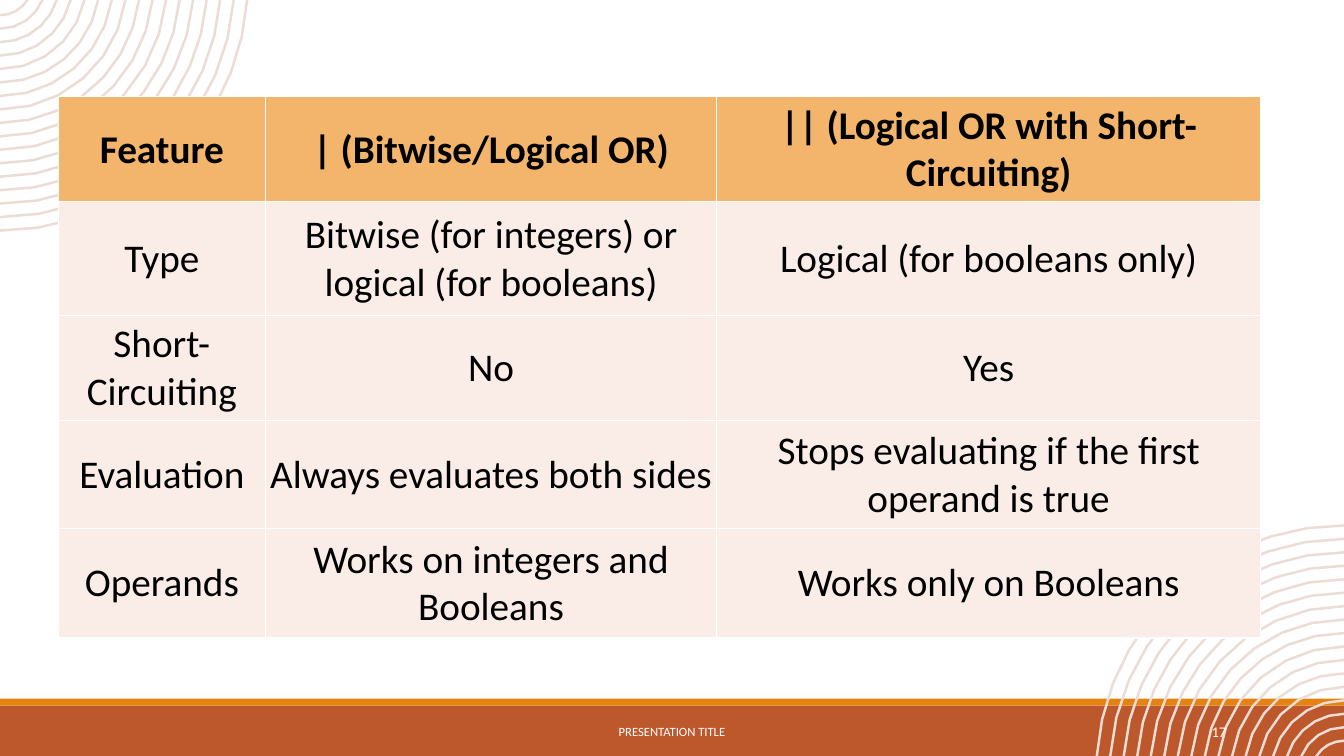
import math
import pptx
import pptx.util
import pptx.dml.color
import pptx.enum.shapes
import pptx.enum.text
import pptx.oxml
import pptx.oxml.ns

WIDE, HIGH = pptx.util.Inches(13.33), pptx.util.Inches(7.5)
HUES = {"bar": "BD582C", "stripe": "E48312", "ring": "EBDCD5", "head": "F3B56C",
        "body": "FAEDE7", "ink": "000000", "light": "FFFFFF"}
ALIGN = pptx.enum.text.PP_ALIGN
MIDDLE = pptx.enum.text.MSO_ANCHOR.MIDDLE

# Table grid, in percent of the slide's width and height
COLS = [15.38, 33.61, 40.44]
ROWS = [13.87, 15.07, 13.87, 14.27, 14.53]
CELLS = [
    ["Feature", "| (Bitwise/Logical OR)", "|| (Logical OR with Short-Circuiting)"],
    ["Type", "Bitwise (for integers) or logical (for booleans)",
     "Logical (for booleans only)"],
    ["Short-Circuiting", "No", "Yes"],
    ["Evaluation", "Always evaluates both sides",
     "Stops evaluating if the first operand is true"],
    ["Operands", "Works on integers and Booleans", "Works only on Booleans"],
]

# Ring pattern, in percent of the slide's height
RINGS, OUTER, STEP, THICK, DROP = 17, 32.93, 1.78, 0.33, 2.27


def across(share):
    return round(WIDE * share / 100)


def down(share):
    return round(HIGH * share / 100)


def place(x, y, w, h):
    return across(x), down(y), across(w), down(h)


def apply(item, **values):
    for name, value in values.items():
        setattr(item, name, value)


def hue(name):
    return pptx.dml.color.RGBColor.from_string(HUES[name])


def paint(fill, name):
    fill.solid()
    fill.fore_color.rgb = hue(name)


def plain(shape, name):
    shape.shadow.inherit = False
    shape.line.fill.background()
    paint(shape.fill, name)


def write(frame, text, size, name, align, bold=False):
    para = frame.paragraphs[0]
    para.alignment = align
    run = para.add_run()
    run.text = text
    apply(run.font, name="Calibri", size=pptx.util.Pt(size), bold=bold)
    run.font.color.rgb = hue(name)


def band(slide, spot, name):
    rect = pptx.enum.shapes.MSO_SHAPE.RECTANGLE
    plain(slide.shapes.add_shape(rect, *place(*spot)), name)


def arc(radius, parts):
    """Points from the slide's top edge to its left edge."""
    start = math.asin(DROP / radius)
    turns = [start + (math.pi / 2 - start) * i / parts for i in range(parts + 1)]
    return [(down(radius * math.cos(t)), down(radius * math.sin(t) - DROP))
            for t in turns]


def rings(slide, flip):
    """Concentric rings at the top left, or turned to the bottom right."""
    build = None
    for i in range(RINGS):
        radius = OUTER - i * STEP
        parts = 3 + round(radius / 5)
        points = arc(radius, parts) + arc(radius - THICK, parts)[::-1]
        if flip:
            points = [(WIDE - x, HIGH - y) for x, y in points]
        if build is None:
            build = slide.shapes.build_freeform(*points[0])
        else:
            build.move_to(*points[0])
        build.add_line_segments(points[1:], close=True)
    plain(build.convert_to_shape(), "ring")


def label(slide, spot, text, size, align):
    frame = slide.shapes.add_textbox(*place(*spot)).text_frame
    apply(frame, word_wrap=True, vertical_anchor=MIDDLE)
    write(frame, text, size, "light", align)


def edge(cell):
    props = cell._tc.get_or_add_tcPr()
    for i, side in enumerate(("lnL", "lnR", "lnT", "lnB")):
        props.insert(i, pptx.oxml.parse_xml(
            f'<a:{side} {pptx.oxml.ns.nsdecls("a")} w="12700"><a:solidFill>'
            f'<a:srgbClr val="{HUES["light"]}"/></a:solidFill></a:{side}>'))


def grid(slide, x, y):
    spot = place(x, y, sum(COLS), sum(ROWS))
    table = slide.shapes.add_table(len(ROWS), len(COLS), *spot).table
    for col, share in zip(table.columns, COLS):
        col.width = across(share)
    for row, share in zip(table.rows, ROWS):
        row.height = down(share)
    thin = pptx.util.Inches(0.01)
    for r, texts in enumerate(CELLS):
        for c, text in enumerate(texts):
            cell = table.cell(r, c)
            apply(cell, margin_left=thin, margin_right=thin, margin_top=thin,
                  margin_bottom=0, vertical_anchor=MIDDLE)
            paint(cell.fill, "body" if r else "head")
            edge(cell)
            write(cell.text_frame, text, 28, "ink", ALIGN.CENTER, bold=r == 0)


def main():
    deck = pptx.Presentation()
    apply(deck, slide_width=WIDE, slide_height=HIGH)
    slide = deck.slides.add_slide(deck.slide_layouts[6])

    # Footer bands and corner rings
    band(slide, (0, 93.33, 100, 6.67), "bar")
    band(slide, (0, 92.4, 100, 0.93), "stripe")
    for flip in (False, True):
        rings(slide, flip)

    # Footer text
    label(slide, (30.23, 94.13, 39.53, 5.33), "PRESENTATION TITLE", 9, ALIGN.CENTER)
    label(slide, (81.25, 94.13, 10.73, 5.33), "17", 10.5, ALIGN.RIGHT)

    # Comparison table
    grid(slide, 4.35, 12.8)
    deck.save("out.pptx")


if __name__ == "__main__":
    main()
